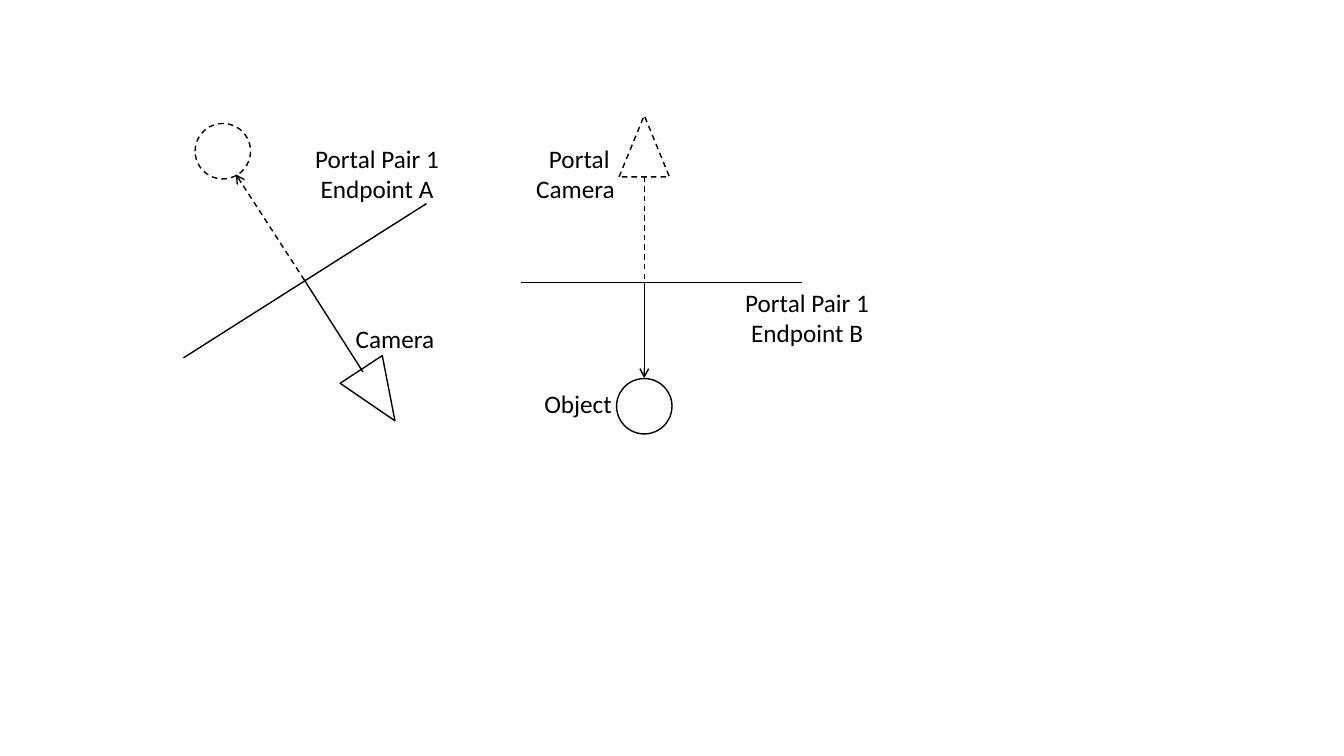
from pptx import Presentation
from pptx import util as u
from pptx.dml.color import RGBColor
from pptx.enum import dml, shapes, text
from pptx.oxml.ns import qn
from lxml import etree

THEME = {
    "ink": RGBColor(0, 0, 0),
    "paper": RGBColor(255, 255, 255),
    "font": "Calibri",
    "label": u.Pt(18),
    "stroke": u.Pt(1),
}

deck = Presentation()
deck.slide_width, deck.slide_height = u.Inches(13.33), u.Inches(7.5)
slide = deck.slides.add_slide(deck.slide_layouts[6])

# Grid: 13.33 columns by 7.5 rows
COL = deck.slide_width / 13.33
ROW = deck.slide_height / 7.5


def ink_line(line, dashed):
    line.color.rgb = THEME["ink"]
    line.width = THEME["stroke"]
    if dashed:
        line.dash_style = dml.MSO_LINE.DASH


def write(words, left, top, width, height, aligns=(None,), wrap=True):
    """Add a label with one paragraph per line of words."""
    label = slide.shapes.add_textbox(
        round(left * COL), round(top * ROW), round(width * COL), round(height * ROW))
    frame = label.text_frame
    frame.text = words
    frame.word_wrap = wrap
    frame.auto_size = text.MSO_AUTO_SIZE.SHAPE_TO_FIT_TEXT
    for paragraph, align in zip(frame.paragraphs, aligns):
        paragraph.alignment = align
        font = paragraph.runs[0].font
        font.name, font.size = THEME["font"], THEME["label"]
        font.color.rgb = THEME["ink"]


# Cameras and objects, placed by their centres
TRIANGLE = (shapes.MSO_SHAPE.ISOSCELES_TRIANGLE, 0.5, 0.61)
CIRCLE = (shapes.MSO_SHAPE.OVAL, 0.55, 0.55)
axis = 6.39  # column shared by the portal camera and the object
for (kind, width, height), x, y, turn, dashed in (
    (TRIANGLE, 3.75, 3.92, 146.7, False),
    (CIRCLE, axis, 4.03, 0, False),
    (CIRCLE, 2.21, 1.5, 0, True),
    (TRIANGLE, axis, 1.45, 0, True),
):
    body = slide.shapes.add_shape(
        kind, round((x - width / 2) * COL), round((y - height / 2) * ROW),
        round(width * COL), round(height * ROW))
    body.rotation = turn
    body.shadow.inherit = False
    body.fill.solid()
    body.fill.fore_color.rgb = THEME["paper"]
    ink_line(body.line, dashed)

# Portal endpoints and the sight lines that cross them
crossing_a, crossing_b = (3.02, 2.78), (axis, 2.8)
for start, end, dashed, arrow in (
    ((1.82, 3.55), (4.23, 2.02), False, False),
    ((5.17, 2.8), (7.95, 2.8), False, False),
    ((3.6, 3.69), crossing_a, False, False),
    (crossing_a, (2.34, 1.73), True, True),
    ((axis, 1.75), crossing_b, True, False),
    (crossing_b, (axis, 3.75), False, True),
):
    sight = slide.shapes.add_connector(
        shapes.MSO_CONNECTOR.STRAIGHT,
        round(start[0] * COL), round(start[1] * ROW),
        round(end[0] * COL), round(end[1] * ROW))
    ink_line(sight.line, dashed)
    if arrow:
        etree.SubElement(sight.line._get_or_add_ln(), qn("a:tailEnd"), type="arrow")
    etree.SubElement(sight._element.spPr, qn("a:effectLst"))

# Labels
CENTER, LEFT = text.PP_ALIGN.CENTER, text.PP_ALIGN.LEFT
write("Camera", 3.43, 3.16, 1.05, 0.4)
write("Portal\nCamera", 5.22, 1.37, 1.05, 0.71, aligns=(CENTER, LEFT))
write("Object", 5.3, 3.8, 0.88, 0.4, wrap=False)
write("Portal Pair 1\nEndpoint A", 3.01, 1.37, 1.46, 0.71, aligns=(CENTER, CENTER))
write("Portal Pair 1\nEndpoint B", 7.24, 2.8, 1.53, 0.71, aligns=(CENTER, CENTER))

deck.save("out.pptx")
